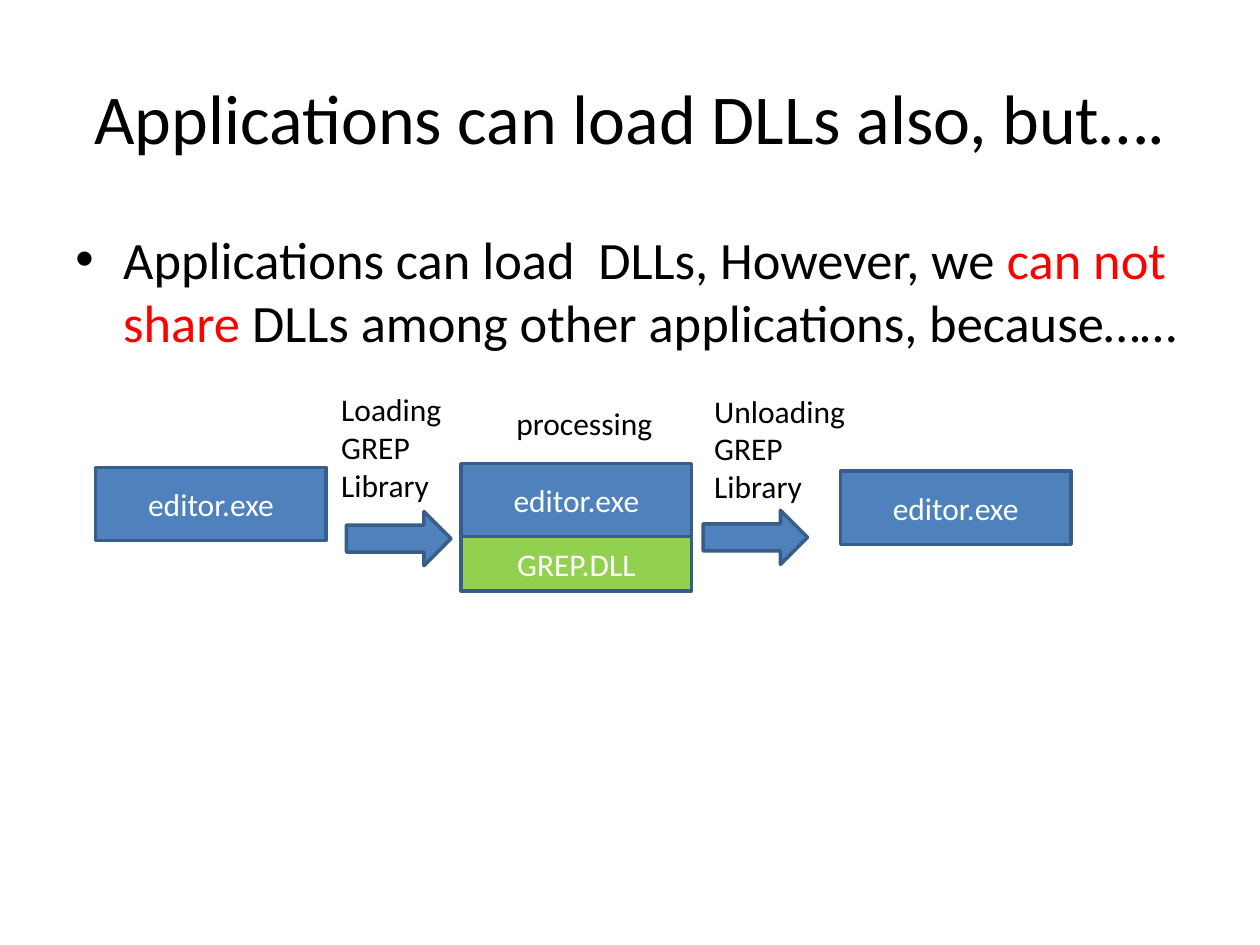
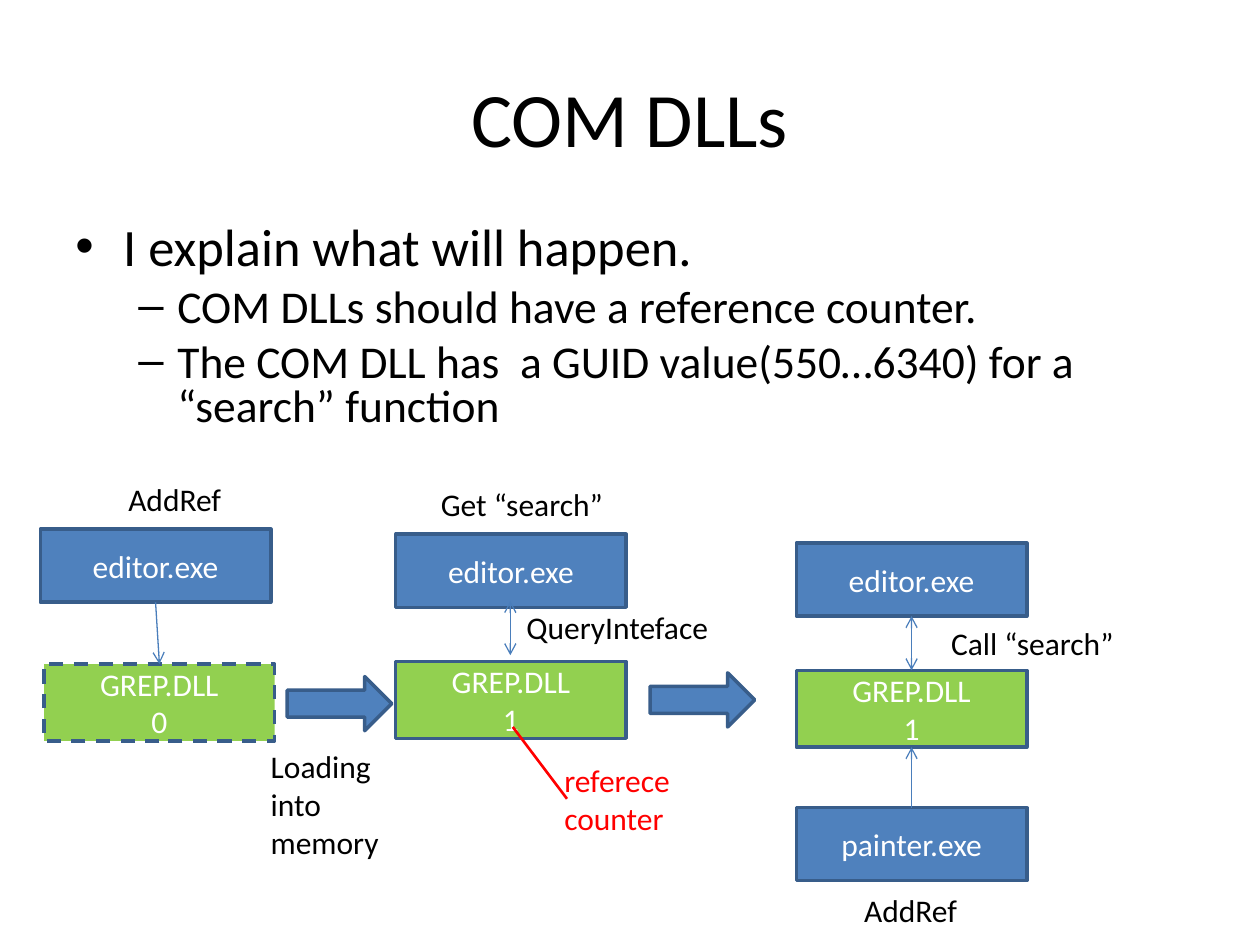
from lxml.etree import SubElement
from pptx import Presentation
from pptx.dml.color import RGBColor
from pptx.enum.dml import MSO_LINE
from pptx.enum.shapes import MSO_CONNECTOR, MSO_SHAPE as Preset
from pptx.enum.text import MSO_ANCHOR as Anchor, MSO_AUTO_SIZE as AutoSize, PP_ALIGN as Align
from pptx.oxml.ns import qn
from pptx.util import Pt

PX = 9144
BLACK, WHITE, RED = "000000", "FFFFFF", "FF0000"
BLUE, GREEN, BORDER, LINK = "4F81BD", "92D050", "385D8A", "4A7EBB"
LEVELS = [
    {"bullet": "•", "size": 30, "before": 7.5, "margin": 38, "hang": 38},
    {"bullet": "–", "size": 26, "before": 6.5, "margin": 81, "hang": 31},
]


def px(*lengths):
    return [length * PX for length in lengths]


def rgb(color):
    return RGBColor.from_string(color)


class Deck:
    font = "Calibri"
    text_size = 18
    box_width, app_height, dll_height = 183, 58, 61

    def __init__(self):
        self.prs = Presentation()
        self.prs.slide_width, self.prs.slide_height = px(1000, 750)
        self.slide = None

    def style_run(self, run, size, color):
        run.font.name = self.font
        run.font.size = Pt(size)
        run.font.color.rgb = rgb(color)

    def style_text(self, frame, size, color, align):
        for paragraph in frame.paragraphs:
            paragraph.alignment = align
            for run in paragraph.runs:
                self.style_run(run, size, color)

    def start(self, heading, size):
        self.slide = self.prs.slides.add_slide(self.prs.slide_layouts[5])
        title = self.slide.shapes.title
        title.left, title.top, title.width, title.height = px(50, 30, 900, 125)
        title.text_frame.text = heading
        title.text_frame.vertical_anchor = Anchor.MIDDLE
        self.style_text(title.text_frame, size, BLACK, Align.CENTER)

    def bullets(self, height, points, spacing=None):
        frame = self.slide.shapes.add_textbox(*px(50, 175, 900, height)).text_frame
        frame.word_wrap = True
        for index, (level, parts) in enumerate(points):
            look = LEVELS[level]
            paragraph = frame.add_paragraph() if index else frame.paragraphs[0]
            paragraph.level = level
            paragraph.space_before = Pt(look["before"])
            paragraph.line_spacing = spacing
            for text, color in parts:
                run = paragraph.add_run()
                run.text = text
                self.style_run(run, look["size"], color)
            props = paragraph._p.get_or_add_pPr()
            props.set("marL", str(look["margin"] * PX))
            props.set("indent", str(-look["hang"] * PX))
            SubElement(SubElement(props, qn("a:buClr")), qn("a:srgbClr"), val=BLACK)
            SubElement(props, qn("a:buFont"), typeface="Arial")
            SubElement(props, qn("a:buChar"), char=look["bullet"])

    def block(self, preset, left, top, width, height, fill, text="", dashed=False):
        shape = self.slide.shapes.add_shape(preset, *px(left, top, width, height))
        shape.shadow.inherit = False
        shape.fill.solid()
        shape.fill.fore_color.rgb = rgb(fill)
        shape.line.color.rgb = rgb(BORDER)
        shape.line.width = Pt(2)
        if dashed:
            shape.line.dash_style = MSO_LINE.DASH
        if text:
            shape.text_frame.text = text
            shape.text_frame.vertical_anchor = Anchor.MIDDLE
            self.style_text(shape.text_frame, self.text_size, WHITE, Align.CENTER)
        return shape

    def app(self, left, top, text="editor.exe"):
        return self.block(Preset.RECTANGLE, left, top, self.box_width, self.app_height, BLUE, text)

    def dll(self, left, top, count=None, height=dll_height, dashed=False):
        text = "GREP.DLL" if count is None else f"GREP.DLL\n{count}"
        return self.block(Preset.RECTANGLE, left, top, self.box_width, height, GREEN, text, dashed)

    def step(self, left, top):
        self.block(Preset.RIGHT_ARROW, left, top, 83, 43, BLUE)

    def label(self, left, top, width, height, text, color=BLACK, wrap=False):
        frame = self.slide.shapes.add_textbox(*px(left, top, width, height)).text_frame
        frame.text = text
        frame.word_wrap = wrap
        frame.auto_size = AutoSize.SHAPE_TO_FIT_TEXT
        self.style_text(frame, self.text_size, color, Align.LEFT)

    def line(self, ends, color=LINK, width=0.75, heads=()):
        link = self.slide.shapes.add_connector(MSO_CONNECTOR.STRAIGHT, *px(*ends))
        link.line.color.rgb = rgb(color)
        link.line.width = Pt(width)
        stroke = link.line._get_or_add_ln()
        for head in heads:
            SubElement(stroke, qn(f"a:{head}"), type="arrow")
        SubElement(link._element.spPr, qn("a:effectLst"))
        return link

    def join(self, source, source_side, target, target_side, heads=("tailEnd",)):
        link = self.line((0, 0, 0, 0), heads=heads)
        link.begin_connect(source, source_side)
        link.end_connect(target, target_side)


def build_loading(deck):
    deck.start("Applications can load DLLs also, but….", 40)
    deck.bullets(141, [(0, [
        ("Applications can load  DLLs, However, we ", BLACK),
        ("can not share", RED),
        (" DLLs among other applications, because……", BLACK),
    ])])
    deck.app(76, 371)
    deck.step(275, 406)
    deck.label(261, 305, 102, 100, "Loading\nGREP\nLibrary")
    deck.app(366, 368)
    deck.dll(366, 426, height=43)
    deck.step(558, 405)
    deck.label(557, 306, 126, 100, "Unloading\nGREP\nLibrary")
    deck.label(400, 316, 128, 40, "processing")
    deck.app(667, 374)


def build_com(deck):
    both_ways = ("headEnd", "tailEnd")
    deck.start("COM DLLs", 44)
    deck.bullets(183, [
        (0, [("I explain what will happen.", BLACK)]),
        (1, [("COM DLLs should have a reference counter.", BLACK)]),
        (1, [("The COM DLL has  a GUID value(550…6340) for a “search” function", BLACK)]),
    ], spacing=0.8)

    loading_editor = deck.app(32, 420)
    unloaded_dll = deck.dll(35, 527, 0, dashed=True)
    deck.join(loading_editor, 2, unloaded_dll, 0)
    deck.label(92, 376, 94, 40, "AddRef")
    deck.step(228, 537)
    deck.label(205, 588, 142, 100, "Loading into\nmemory", wrap=True)

    deck.app(314, 424)
    deck.dll(314, 525, 1)
    deck.line((405, 477, 405, 520), heads=both_ways)
    deck.label(340, 380, 150, 40, "Get “search”")
    deck.label(408, 478, 165, 40, "QueryInteface")
    deck.label(438, 599, 105, 70, "referece\ncounter", RED)
    deck.line((407, 577, 450, 634), RED, 1.5)
    deck.step(516, 534)

    calling_editor = deck.app(632, 431)
    shared_dll = deck.dll(632, 532, 1)
    painter = deck.app(632, 641, "painter.exe")
    deck.join(calling_editor, 2, shared_dll, 0, both_ways)
    deck.join(painter, 0, shared_dll, 2)
    deck.label(745, 490, 150, 40, "Call “search”")
    deck.label(676, 702, 94, 40, "AddRef")


def main():
    deck = Deck()
    build_loading(deck)
    build_com(deck)
    deck.prs.save("out.pptx")


if __name__ == "__main__":
    main()
